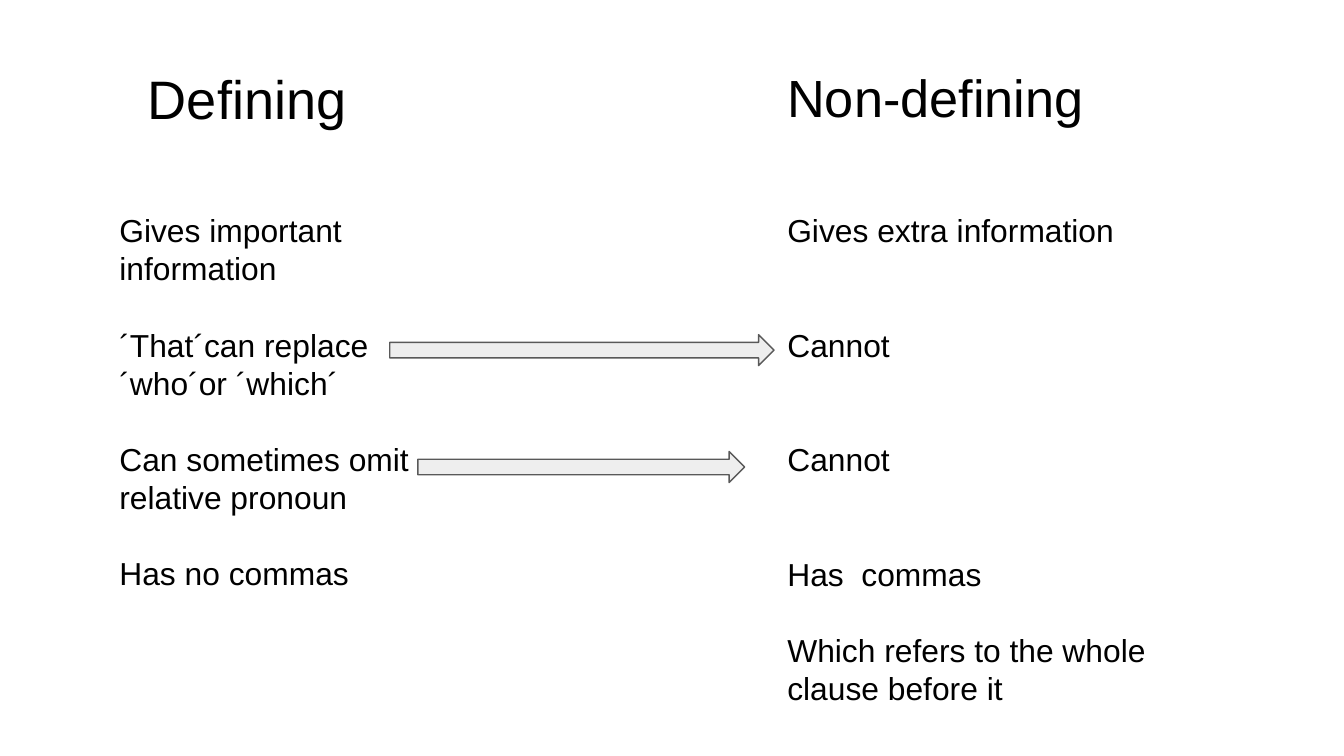
from pptx import Presentation
from pptx.dml.color import RGBColor
from pptx.enum.shapes import MSO_SHAPE
from pptx.enum.text import MSO_ANCHOR, MSO_AUTO_SIZE, PP_ALIGN
from pptx.util import Pt

BLACK = RGBColor(0x00, 0x00, 0x00)
LIGHT_GRAY = RGBColor(0xEE, 0xEE, 0xEE)
DARK_GRAY = RGBColor(0x59, 0x59, 0x59)

LEFT_X, RIGHT_X = 56.9, 414.7
HEAD_Y, HEAD_H = 25.9, 67.7
BODY_Y, BODY_H = 105.8, 239.8
BODY_SIZE, BODY_LINE = 17, 20.45


class ComparisonSlide:
    font = "Arial"
    inset = 7.2

    def __init__(self, prs):
        self.slide = prs.slides.add_slide(prs.slide_layouts[5])

    def fill_text(self, sp, items, size, line):
        """Write (blank lines above, text) items into a shape."""
        tf = sp.text_frame
        tf.word_wrap = True
        tf.auto_size = MSO_AUTO_SIZE.NONE
        tf.vertical_anchor = MSO_ANCHOR.TOP
        tf.margin_left = tf.margin_right = Pt(self.inset)
        tf.margin_top = tf.margin_bottom = Pt(self.inset)
        for i, (gap, text) in enumerate(items):
            p = tf.add_paragraph() if i else tf.paragraphs[0]
            p.text = text
            p.alignment = PP_ALIGN.LEFT
            p.line_spacing = Pt(line)
            p.space_before = Pt(gap * line)
            p.space_after = Pt(0)
            p.font.name = self.font
            p.font.size = Pt(size)
            p.font.color.rgb = BLACK

    def title(self, x, y, w, h, text, size, line):
        sp = self.slide.shapes.title
        sp.left, sp.top, sp.width, sp.height = Pt(x), Pt(y), Pt(w), Pt(h)
        self.fill_text(sp, [(0, text)], size, line)

    def text(self, x, y, w, h, items, size, line):
        sp = self.slide.shapes.add_textbox(Pt(x), Pt(y), Pt(w), Pt(h))
        self.fill_text(sp, items, size, line)

    def arrow(self, x, y, w, h=16.6):
        sp = self.slide.shapes.add_shape(
            MSO_SHAPE.RIGHT_ARROW, Pt(x), Pt(y), Pt(w), Pt(h))
        sp.shadow.inherit = False
        sp.fill.solid()
        sp.fill.fore_color.rgb = LIGHT_GRAY
        sp.line.color.rgb = DARK_GRAY
        sp.line.width = Pt(0.75)


def main():
    prs = Presentation()
    prs.slide_width, prs.slide_height = Pt(720), Pt(405)
    s = ComparisonSlide(prs)

    # Column headings
    s.title(72, HEAD_Y, 175, HEAD_H, "Defining", 29, 36.6)
    s.text(RIGHT_X, HEAD_Y, 239.8, HEAD_H, [(0, "Non-defining")], 28, 35.4)

    # Column contents, with the gaps that keep the rows level
    s.text(LEFT_X, BODY_Y, 175, BODY_H, [
        (0, "Gives important information"),
        (1, "´That´can replace ´who´or ´which´"),
        (1, "Can sometimes omit relative pronoun"),
        (1, "Has no commas"),
    ], BODY_SIZE, BODY_LINE)
    s.text(RIGHT_X, BODY_Y, 218.2, BODY_H, [
        (0, "Gives extra information"),
        (2, "Cannot"),
        (2, "Cannot"),
        (2, "Has  commas"),
        (1, "Which refers to the whole clause before it"),
    ], BODY_SIZE, BODY_LINE)

    # Arrows between matching rows
    s.arrow(208.8, 179.3, 205.9)
    s.arrow(223.9, 241.9, 175)

    prs.save("out.pptx")


if __name__ == "__main__":
    main()
